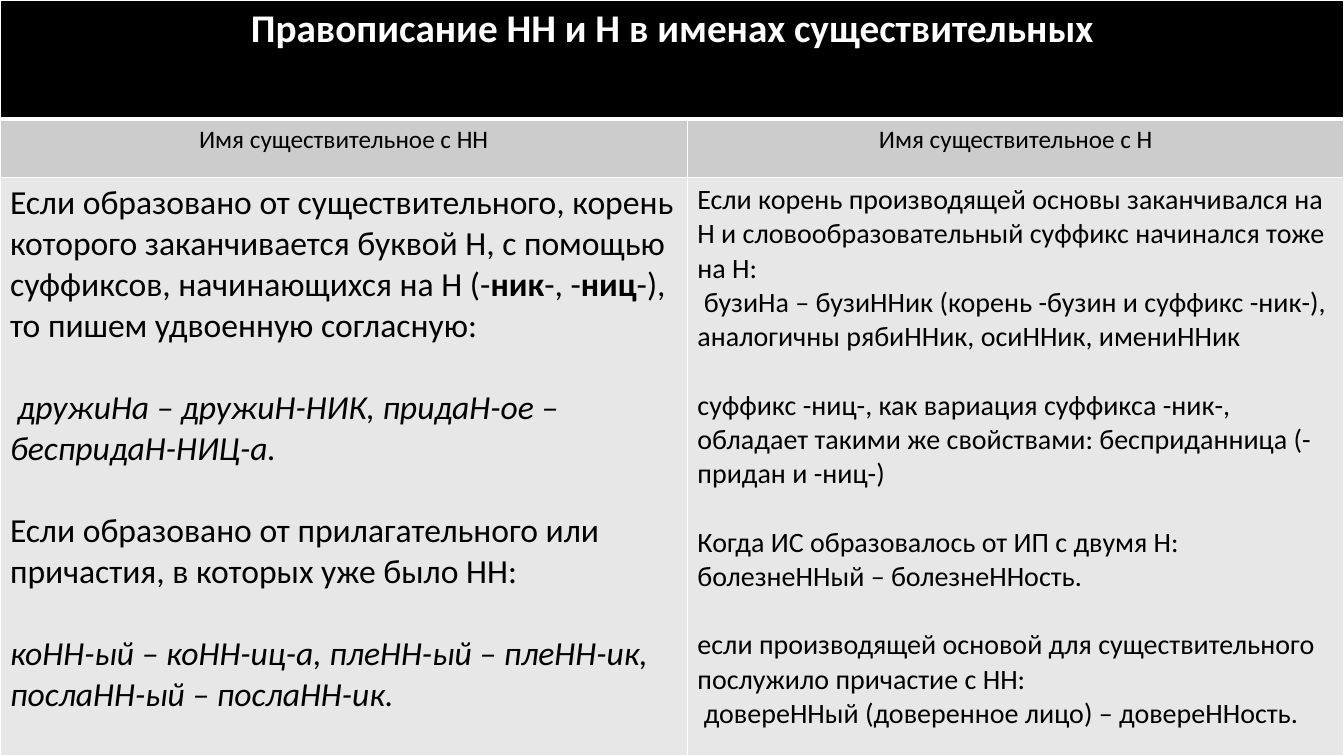
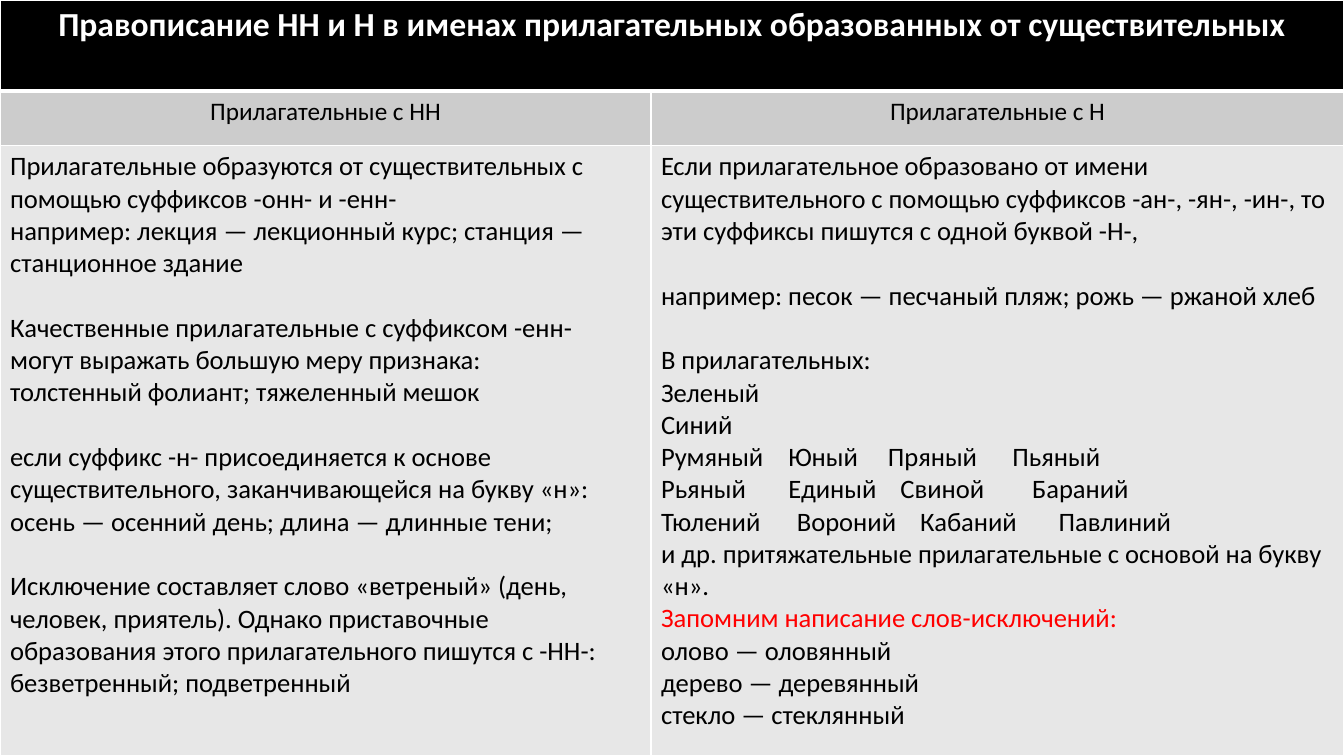
import pptx
import pptx.dml.color
import pptx.enum.text
import pptx.oxml
import pptx.util
import pptx.oxml.ns

Pt = pptx.util.Pt
CENTER = pptx.enum.text.PP_ALIGN.CENTER

FONT = "Calibri"
WHITE, BLACK, RED = "FFFFFF", "000000", "FF0000"
ROW_FILLS = [BLACK, "CCCCCC", "E7E7E7"]
WIDTH, HEIGHT = 960, 540
HEADER_SIZE = 18
LINE = 1.22  # height of a text line relative to its font size


def color(hex_value):
    return pptx.dml.color.RGBColor.from_string(hex_value)


def write(cell, text, size, ink=BLACK, bold=False, italic=False, gap=False,
          align=None, stops=()):
    """Add a paragraph; *stars* mark bold words, gap leaves one line above,
    stops are tab positions in points."""
    frame = cell.text_frame
    para = frame.paragraphs[0] if not frame.text else frame.add_paragraph()
    para.alignment = align
    if gap:
        para.space_before = Pt(round(size * LINE, 1))
    if stops:
        tabs = "".join(f'<a:tab pos="{Pt(stop)}" algn="l"/>' for stop in stops)
        namespace = pptx.oxml.ns.nsdecls("a")
        para._p.get_or_add_pPr().append(
            pptx.oxml.parse_xml(f"<a:tabLst {namespace}>{tabs}</a:tabLst>"))
    for index, part in enumerate(text.split("*")):
        span = para.add_run()
        span.text = part
        span.font.name = FONT
        span.font.size = Pt(size)
        span.font.bold = bold or index % 2 == 1
        span.font.italic = italic
        span.font.color.rgb = color(ink)


ITALIC = {"italic": True, "gap": True}
GAP = {"gap": True}

# Each body column is a list of (text, format) paragraphs.
pages = [
    {
        "title": "Правописание НН и Н в именах существительных",
        "title_size": 28,
        "widths": [491, 469],
        "heights": [85, 42],
        "headers": ["Имя существительное с НН", "Имя существительное с Н"],
        "sizes": [24, 20],
        "columns": [
            [
                ("Если образовано от существительного, корень которого "
                 "заканчивается буквой Н, с помощью суффиксов, начинающихся "
                 "на Н (-*ник*-, -*ниц*-), то пишем удвоенную согласную:", {}),
                (" дружиНа – дружиН-НИК, придаН-ое – беспридаН-НИЦ-а.", ITALIC),
                ("Если образовано от прилагательного или причастия, "
                 "в которых уже было НН:", GAP),
                ("коНН-ый – коНН-иц-а, плеНН-ый – плеНН-ик, "
                 "послаНН-ый – послаНН-ик.", ITALIC),
            ],
            [
                ("Если корень производящей основы заканчивался на Н и "
                 "словообразовательный суффикс начинался тоже на Н:", {}),
                (" бузиНа – бузиННик (корень -бузин и суффикс -ник-), "
                 "аналогичны рябиННик, осиННик, имениННик", {}),
                ("суффикс -ниц-, как вариация суффикса -ник-, обладает такими "
                 "же свойствами: бесприданница (-придан и -ниц-)", GAP),
                ("Когда ИС образовалось от ИП с двумя Н:", GAP),
                ("болезнеННый – болезнеННость.", {}),
                ("если производящей основой для существительного послужило "
                 "причастие с НН:", GAP),
                (" довереННый (доверенное лицо) – довереННость.", {}),
            ],
        ],
    },
    {
        "title": "Правописание НН и Н в именах прилагательных "
                 "образованных от существительных",
        "title_size": 24,
        "widths": [465, 495],
        "heights": [65, 39],
        "headers": ["Прилагательные с НН", "Прилагательные с Н"],
        "sizes": [19, 19],
        "columns": [
            [
                ("Прилагательные образуются от существительных с помощью "
                 "суффиксов -онн- и -енн-", {}),
                ("например: лекция — лекционный курс; станция — "
                 "станционное здание", {}),
                ("Качественные прилагательные с суффиксом -енн- могут "
                 "выражать большую меру признака:", GAP),
                ("толстенный фолиант; тяжеленный мешок", {}),
                ("если суффикс -н- присоединяется к основе существительного, "
                 "заканчивающейся на букву «н»:", GAP),
                ("осень — осенний день; длина — длинные тени;", {}),
                ("Исключение составляет слово «ветреный» (день, человек, "
                 "приятель). Однако приставочные образования этого "
                 "прилагательного пишутся с -НН-:", GAP),
                ("безветренный; подветренный", {}),
            ],
            [
                ("Если прилагательное образовано от имени существительного "
                 "с помощью суффиксов -ан-, -ян-, -ин-, то эти суффиксы "
                 "пишутся с одной буквой -Н-,", {}),
                ("например: песок — песчаный пляж; рожь — ржаной хлеб", GAP),
                ("В прилагательных:", GAP),
                ("Зеленый", {}),
                ("Синий", {}),
                ("Румяный\tЮный\tПряный\tПьяный", {"stops": [91, 162, 251]}),
                ("Рьяный\tЕдиный\tСвиной\tБараний", {"stops": [91, 171, 265]}),
                ("Тюлений\tВороний\tКабаний\tПавлиний",
                 {"stops": [97, 185, 284]}),
                ("и др. притяжательные прилагательные с основой на букву «н».",
                 {}),
                ("Запомним написание слов-исключений:", {"ink": RED}),
                ("олово — оловянный", {}),
                ("дерево — деревянный", {}),
                ("стекло — стеклянный", {}),
            ],
        ],
    },
]

deck = pptx.Presentation()
deck.slide_width, deck.slide_height = Pt(WIDTH), Pt(HEIGHT)

for content in pages:
    page = deck.slides.add_slide(deck.slide_layouts[6])
    table = page.shapes.add_table(3, 2, 0, 0, Pt(WIDTH), Pt(HEIGHT)).table
    table.first_row = table.horz_banding = False
    for column, width in zip(table.columns, content["widths"]):
        column.width = Pt(width)
    heights = content["heights"] + [HEIGHT - sum(content["heights"])]
    for row, height in zip(table.rows, heights):
        row.height = Pt(height)

    for row_index, fill in enumerate(ROW_FILLS):
        for cell in table.rows[row_index].cells:
            cell.fill.solid()
            cell.fill.fore_color.rgb = color(fill)
            # The rule between the title and the headers is thicker.
            top = 3 if row_index == 1 else 1
            bottom = 3 if row_index == 0 else 1
            edges = [("lnL", 1), ("lnR", 1), ("lnT", top), ("lnB", bottom)]
            for position, (edge, weight) in enumerate(edges):
                border = pptx.oxml.parse_xml(
                    f'<a:{edge} {pptx.oxml.ns.nsdecls("a")} w="{Pt(weight)}">'
                    f'<a:solidFill><a:srgbClr val="{WHITE}"/></a:solidFill>'
                    f"</a:{edge}>")
                cell._tc.get_or_add_tcPr().insert(position, border)

    title_cell = table.cell(0, 0)
    title_cell.merge(table.cell(0, 1))
    write(title_cell, content["title"], content["title_size"], ink=WHITE,
          bold=True, align=CENTER)
    for index, header in enumerate(content["headers"]):
        write(table.cell(1, index), header, HEADER_SIZE, align=CENTER)
        for text, style in content["columns"][index]:
            write(table.cell(2, index), text, content["sizes"][index], **style)

deck.save("out.pptx")
